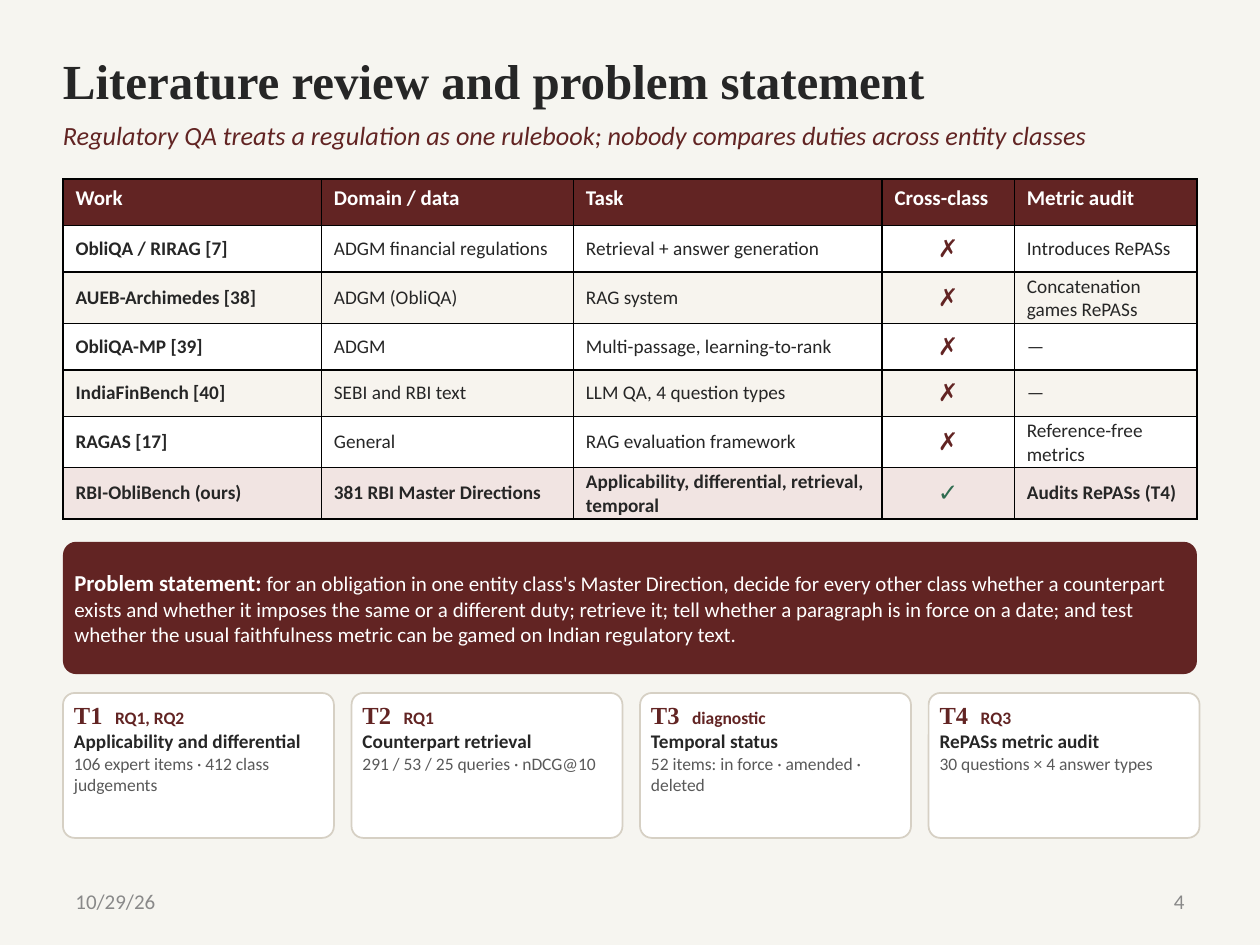
from dataclasses import dataclass, field

from lxml import etree
from pptx import Presentation
from pptx.dml.color import RGBColor
from pptx.enum.shapes import MSO_SHAPE
from pptx.enum.text import MSO_ANCHOR, PP_ALIGN
from pptx.oxml.ns import qn
from pptx.util import Pt

ROUNDED = MSO_SHAPE.ROUNDED_RECTANGLE
TOP, MIDDLE = MSO_ANCHOR.TOP, MSO_ANCHOR.MIDDLE
LEFT, CENTER, RIGHT = PP_ALIGN.LEFT, PP_ALIGN.CENTER, PP_ALIGN.RIGHT

BODY, SERIF = "Calibri", "Times New Roman"


@dataclass
class Theme:
    colors: dict = field(default_factory=lambda: {
        "paper": "F6F5F0", "white": "FFFFFF", "maroon": "622423", "ink": "262626",
        "grey": "595959", "footer": "898989", "band": "F7F4EE", "ours": "F1E4E2",
        "green": "2E6B4F", "card_line": "D6D0C4", "grid": "000000",
    })
    # name: (size, font, colour, bold, italic)
    styles: dict = field(default_factory=lambda: {
        "title": (28, SERIF, "ink", True, False),
        "subtitle": (15, BODY, "maroon", False, True),
        "header": (12, BODY, "white", True, False),
        "cell": (11, BODY, "ink", False, False),
        "strong": (11, BODY, "ink", True, False),
        "cross": (14, BODY, "maroon", False, False),
        "check": (14, BODY, "green", False, False),
        "lead": (13, BODY, "white", True, False),
        "statement": (12, BODY, "white", False, False),
        "task_id": (14, SERIF, "maroon", True, False),
        "question": (10, BODY, "maroon", True, False),
        "detail": (10, BODY, "grey", False, False),
        "footer": (12, BODY, "footer", False, False),
    })

    def color(self, name):
        return RGBColor.from_string(self.colors[name])


def set_all(target, formats):
    for name, value in formats.items():
        setattr(target, name, value)


def margins(horizontal, vertical):
    return {"margin_left": Pt(horizontal), "margin_right": Pt(horizontal),
            "margin_top": Pt(vertical), "margin_bottom": Pt(vertical)}


class SlideBuilder:
    def __init__(self, slide, theme):
        self.slide, self.theme = slide, theme
        self.paint(slide.background, "paper")

    def paint(self, target, color):
        target.fill.solid()
        target.fill.fore_color.rgb = self.theme.color(color)

    def add_paragraphs(self, frame, paragraphs, align=LEFT, tab=None):
        """Each paragraph is a list of (text, style name) runs."""
        for index, runs in enumerate(paragraphs):
            paragraph = frame.paragraphs[0] if index == 0 else frame.add_paragraph()
            paragraph.alignment = align
            if tab and index == 0:
                stops = etree.SubElement(paragraph._p.get_or_add_pPr(), qn("a:tabLst"))
                etree.SubElement(stops, qn("a:tab"), pos=str(Pt(tab)), algn="l")
            for text, style in runs:
                size, name, color, bold, italic = self.theme.styles[style]
                run = paragraph.add_run()
                run.text = text
                set_all(run.font, {"size": Pt(size), "name": name,
                                   "bold": bold, "italic": italic})
                run.font.color.rgb = self.theme.color(color)

    def text(self, box, text, style, inset=(0, 0), anchor=MIDDLE, align=LEFT):
        frame = self.slide.shapes.add_textbox(*map(Pt, box)).text_frame
        set_all(frame, {"word_wrap": True, "vertical_anchor": anchor, **margins(*inset)})
        self.add_paragraphs(frame, [[(text, style)]], align)

    def panel(self, box, paragraphs, fill, radius, line=None, anchor=TOP, tab=None):
        panel = self.slide.shapes.add_shape(ROUNDED, *map(Pt, box))
        panel.adjustments[0] = radius
        panel.shadow.inherit = False
        self.paint(panel, fill)
        if line:
            panel.line.color.rgb = self.theme.color(line)
            panel.line.width = Pt(1)
        else:
            panel.line.fill.background()
        frame = panel.text_frame
        set_all(frame, {"word_wrap": True, "vertical_anchor": anchor, **margins(4.32, 2.16)})
        self.add_paragraphs(frame, paragraphs, tab=tab)

    def cell(self, cell, text, style, fill, formats, align=LEFT):
        set_all(cell, formats)
        properties = cell._tc.get_or_add_tcPr()
        for side in ("lnL", "lnR", "lnT", "lnB"):
            border = etree.SubElement(properties, qn(f"a:{side}"), w=str(Pt(1)))
            solid = etree.SubElement(border, qn("a:solidFill"))
            etree.SubElement(solid, qn("a:srgbClr"), val=self.theme.colors["grid"])
        self.paint(cell, fill)
        self.add_paragraphs(cell.text_frame, [[(text, style)]], align)

    def table(self, left, top, widths, row_height, header, works):
        height = row_height * (len(works) + 1)
        table = self.slide.shapes.add_table(
            len(works) + 1, len(header),
            *map(Pt, (left, top, sum(widths), height))).table
        for column, width in zip(table.columns, widths):
            column.width = Pt(width)
        for row in table.rows:
            row.height = Pt(row_height)

        for column, heading in enumerate(header):
            self.cell(table.cell(0, column), heading, "header", "maroon",
                      {"vertical_anchor": TOP, **margins(7.2, 3.6)})

        marks = {"✗": "cross", "✓": "check"}
        body_format = {"vertical_anchor": MIDDLE, **margins(7.2, 1.44)}
        for row, work in enumerate(works, 1):
            ours = row == len(works)
            fill = "ours" if ours else "white" if row % 2 else "band"
            for column, value in enumerate(work):
                plain = "strong" if ours or column == 0 else "cell"
                self.cell(table.cell(row, column), value, marks.get(value, plain), fill,
                          body_format, CENTER if value in marks else LEFT)


HEADER = ["Work", "Domain / data", "Task", "Cross-class", "Metric audit"]
WORKS = [
    ["ObliQA / RIRAG [7]", "ADGM financial regulations", "Retrieval + answer generation",
     "✗", "Introduces RePASs"],
    ["AUEB-Archimedes [38]", "ADGM (ObliQA)", "RAG system", "✗", "Concatenation games RePASs"],
    ["ObliQA-MP [39]", "ADGM", "Multi-passage, learning-to-rank", "✗", "—"],
    ["IndiaFinBench [40]", "SEBI and RBI text", "LLM QA, 4 question types", "✗", "—"],
    ["RAGAS [17]", "General", "RAG evaluation framework", "✗", "Reference-free metrics"],
    ["RBI-ObliBench (ours)", "381 RBI Master Directions",
     "Applicability, differential, retrieval, temporal", "✓", "Audits RePASs (T4)"],
]
STATEMENT = (
    "for an obligation in one entity class's Master Direction, decide for every other class "
    "whether a counterpart exists and whether it imposes the same or a different duty; "
    "retrieve it; tell whether a paragraph is in force on a date; and test whether the usual "
    "faithfulness metric can be gamed on Indian regulatory text."
)
TASKS = [
    ("T1", "RQ1, RQ2", "Applicability and differential",
     "106 expert items · 412 class judgements"),
    ("T2", "RQ1", "Counterpart retrieval", "291 / 53 / 25 queries · nDCG@10"),
    ("T3", "diagnostic", "Temporal status", "52 items: in force · amended · deleted"),
    ("T4", "RQ3", "RePASs metric audit", "30 questions × 4 answer types"),
]


def main():
    deck = Presentation()
    deck.slide_width, deck.slide_height = Pt(720), Pt(540)
    builder = SlideBuilder(deck.slides.add_slide(deck.slide_layouts[6]), Theme())
    left, width = 36, 648

    # Footer
    footer_width = 168
    builder.text((left, 500.4, footer_width, 28.8), "10/29/26", "footer", (7.2, 3.6))
    builder.text((left + width - footer_width, 500.4, footer_width, 28.8), "4", "footer",
                 (7.2, 3.6), align=RIGHT)

    # Title and subtitle
    builder.text((left, 23.04, width, 44.64), "Literature review and problem statement",
                 "title", (0, 3.6))
    builder.text((left, 68.4, width, 30.24),
                 "Regulatory QA treats a regulation as one rulebook; "
                 "nobody compares duties across entity classes", "subtitle", anchor=TOP)

    # Literature comparison
    builder.table(left, 102.24, [147.6, 144, 176.4, 75.6, 104.4], 26.64, HEADER, WORKS)

    # Problem statement
    builder.panel((left, 309.6, width, 75.6),
                  [[("Problem statement: ", "lead"), (STATEMENT, "statement")]],
                  "maroon", 0.1, anchor=MIDDLE)

    # Task cards
    card_width, gap = 154.8, 10.08
    for index, (task, question, name, detail) in enumerate(TASKS):
        builder.panel((left + index * (card_width + gap), 396, card_width, 82.8),
                      [[(f"{task}\t", "task_id"), (question, "question")],
                       [(name, "strong")], [(detail, "detail")]],
                      "white", 0.08, line="card_line", tab=23.5)

    deck.save("out.pptx")


if __name__ == "__main__":
    main()
